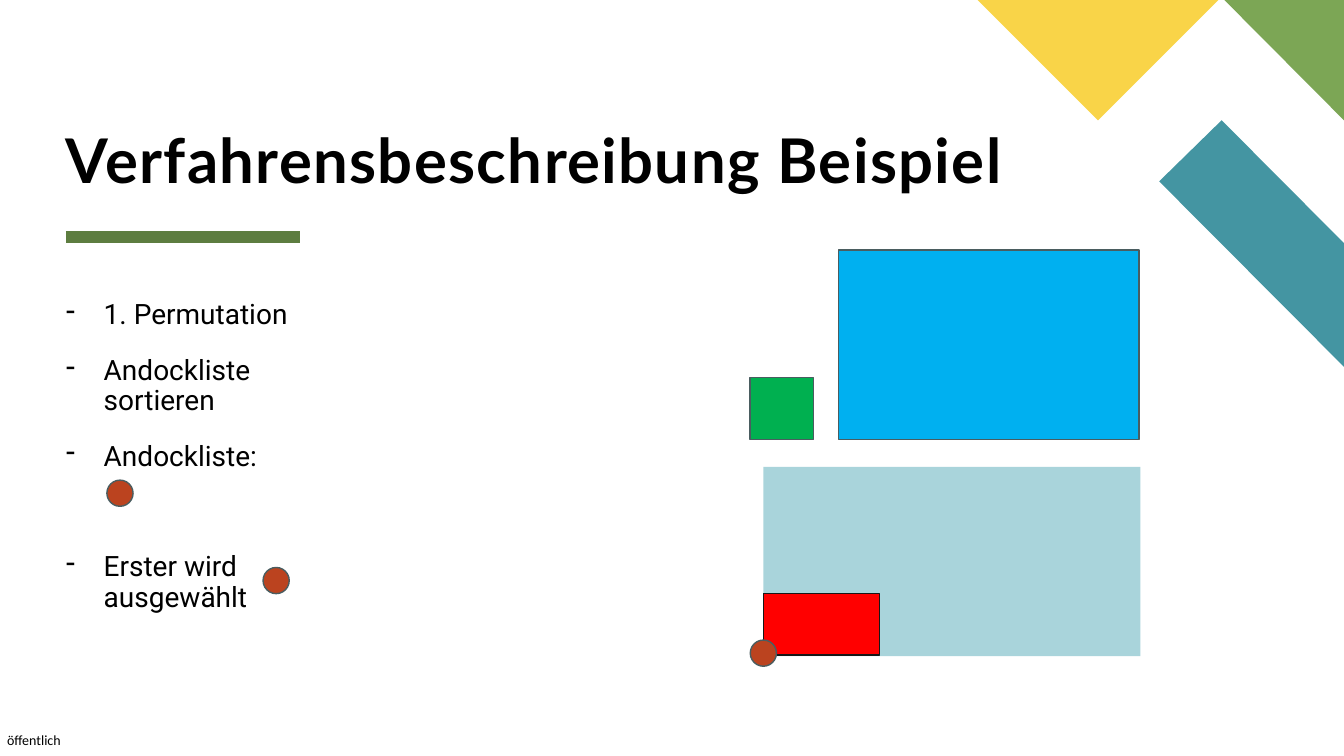
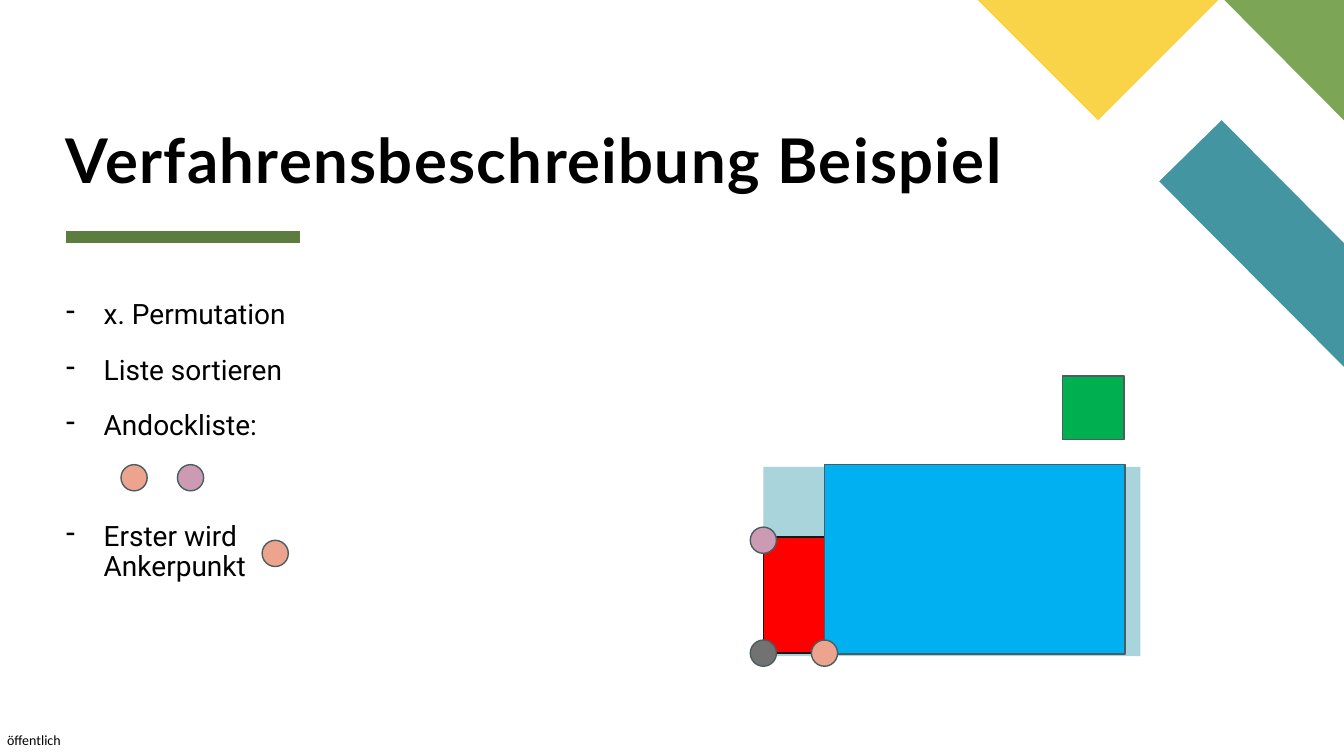
from dataclasses import dataclass

import lxml.etree
import pptx
import pptx.dml.color
import pptx.enum.shapes
import pptx.enum.text
import pptx.oxml.ns
import pptx.util

SHAPE = pptx.enum.shapes.MSO_SHAPE
ANCHOR = pptx.enum.text.MSO_ANCHOR
qn = pptx.oxml.ns.qn


@dataclass(frozen=True)
class Theme:
    text: str = "000000"
    teal: str = "4495A2"
    leaf: str = "7CA655"
    yellow: str = "F9D448"
    rule: str = "5D7D40"
    outline: str = "4A5D60"
    dark: str = "171717"
    green: str = "00B050"
    blue: str = "00B0F0"
    red: str = "FF0000"
    container: str = "A9D4DB"
    rust: str = "BB431F"
    peach: str = "ECA48E"
    mauve: str = "CC9BB3"
    grey: str = "727272"
    title_size: int = 44
    body_size: int = 20
    footer_size: int = 10
    title_font: str = "Lato"
    body_font: str = "Roboto"
    footer_font: str = "Calibri"


T = Theme()
WIDTH, HEIGHT = pptx.util.Inches(13.333), pptx.util.Inches(7.5)
COLUMNS = 100
MARGIN = 4.9
DISC = 1.95
FLOOR, SHELF = 48.6, 32.7
BIN_LEFT = 56.8
PIECES = {
    "green": (4.73, 4.6, T.green, T.outline),
    "blue": (22.35, 14.1, T.blue, T.outline),
    "red": (8.63, 4.6, T.red, T.dark),
    "container": (28.05, 14.1, T.container, None),
}


def grid(*columns):
    return [round(c * WIDTH / COLUMNS) for c in columns]


def rgb(value):
    return pptx.dml.color.RGBColor.from_string(value)


def write(tf, text, size, font, bold=False, line_spacing=None, before=None,
          tracking=None, bullet=None, indent=0):
    p = tf.paragraphs[0] if not tf.text else tf.add_paragraph()
    p.alignment = pptx.enum.text.PP_ALIGN.LEFT
    if line_spacing:
        p.line_spacing = line_spacing
    if before is not None:
        p.space_before = pptx.util.Pt(before)
    if bullet:
        pPr = p._p.get_or_add_pPr()
        pPr.set("marL", str(grid(indent)[0]))
        pPr.set("indent", str(-grid(indent)[0]))
        lxml.etree.SubElement(pPr, qn("a:buChar")).set("char", bullet)
    r = p.add_run()
    r.text = text
    r.font.size = pptx.util.Pt(size)
    r.font.name = font
    r.font.bold = bold
    r.font.color.rgb = rgb(T.text)
    if tracking:
        r._r.get_or_add_rPr().set("spc", str(tracking * 100))


def frame(tf, insets=(0, 0, 0, 0), wrap=True, anchor=ANCHOR.TOP):
    tf.auto_size = pptx.enum.text.MSO_AUTO_SIZE.NONE
    tf.word_wrap = wrap
    tf.vertical_anchor = anchor
    tf.margin_left, tf.margin_top, tf.margin_right, tf.margin_bottom = grid(*insets)
    return tf


def paint(sp, fill, line=None):
    sp.shadow.inherit = False
    sp.fill.solid()
    sp.fill.fore_color.rgb = rgb(fill)
    if line:
        sp.line.color.rgb = rgb(line)
        sp.line.width = pptx.util.Pt(1)
    else:
        sp.line.fill.background()
    return sp


def polygon(s, points, fill):
    start, *rest = [grid(*point) for point in points]
    builder = s.shapes.build_freeform(*start)
    builder.add_line_segments(rest, close=True)
    return paint(builder.convert_to_shape(), fill)


def rule(s, left, right, y):
    c = s.shapes.add_connector(pptx.enum.shapes.MSO_CONNECTOR.STRAIGHT,
                               *grid(left, y, right, y))
    c.line.color.rgb = rgb(T.rule)
    c.line.width = pptx.util.Pt(8)
    lxml.etree.SubElement(c.element.spPr, qn("a:effectLst"))
    return c


def footer(s, text):
    sp = s.shapes.add_textbox(*grid(0.53, 54.45, 4.28, 1.28))
    write(frame(sp.text_frame, wrap=False), text, T.footer_size, T.footer_font)
    return sp


def decorate(layout, s):
    for ph in list(layout.placeholders)[1:]:
        layout.shapes.element.remove(ph.element)
    shared = [
        footer(s, "öffentlich"),
        polygon(s, [(100, 27.3), (100, 18.1), (90.9, 8.95), (86.25, 13.5)], T.teal),
        polygon(s, [(100, 8.95), (100, 0), (91.1, 0)], T.leaf),
        polygon(s, [(72.75, 0), (81.7, 8.95), (90.65, 0)], T.yellow),
        rule(s, MARGIN, 22.35, 17.63),
    ]
    for sp in shared:
        layout.shapes.element.append(sp.element)


def title(s, text):
    sp = s.shapes.title
    sp.left, sp.top, sp.width, sp.height = grid(MARGIN, 1.65, 90, 12.9)
    write(frame(sp.text_frame, anchor=ANCHOR.BOTTOM), text, T.title_size,
          T.title_font, bold=True, line_spacing=0.8, tracking=1)


def steps(s, items):
    sp = s.shapes.add_textbox(*grid(MARGIN, 22, 20.7, 29.5))
    tf = frame(sp.text_frame, insets=(0, 0.38, 0.75, 0.38))
    for i, item in enumerate(items):
        before = 57.6 if i == len(items) - 1 else 18
        write(tf, item, T.body_size, T.body_font, line_spacing=0.9,
              before=before, bullet="-", indent=2.82)


def piece(s, name, left, bottom, turned=False):
    w, h, fill, line = PIECES[name]
    if turned:
        w, h = h, w
    paint(s.shapes.add_shape(SHAPE.RECTANGLE, *grid(left, bottom - h, w, h)), fill, line)


def disc(s, x, y, fill):
    box = grid(x - DISC / 2, y - DISC / 2, DISC, DISC)
    paint(s.shapes.add_shape(SHAPE.OVAL, *box), fill, T.outline)


SLIDES = [
    dict(
        steps=["1. Permutation", "Andockliste sortieren", "Andockliste:",
               "Erster wird ausgewählt"],
        pieces=[("green", 55.8, SHELF), ("blue", 62.4, SHELF),
                ("container", BIN_LEFT, 48.83), ("red", BIN_LEFT, 48.75)],
        discs=[(BIN_LEFT, FLOOR, T.rust), (8.93, 36.7, T.rust), (20.55, 43.2, T.rust)],
    ),
    dict(
        steps=["x. Permutation", "Liste sortieren", "Andockliste:",
               "Erster wird Ankerpunkt"],
        pieces=[("green", 79.05, SHELF, True), ("container", BIN_LEFT, 48.83),
                ("red", BIN_LEFT, FLOOR, True), ("blue", 61.35, 48.67)],
        discs=[(9.98, 35.55, T.peach), (14.18, 35.55, T.mauve),
               (20.48, 41.18, T.peach), (BIN_LEFT, FLOOR, T.grey),
               (BIN_LEFT, 40.2, T.mauve), (61.35, FLOOR, T.peach)],
    ),
]


def main():
    prs = pptx.Presentation()
    prs.slide_width, prs.slide_height = WIDTH, HEIGHT
    layout = prs.slide_layouts[5]
    for i, content in enumerate(SLIDES):
        s = prs.slides.add_slide(layout)
        if i == 0:
            decorate(layout, s)
        title(s, "Verfahrensbeschreibung Beispiel")
        steps(s, content["steps"])
        for args in content["pieces"]:
            piece(s, *args)
        for args in content["discs"]:
            disc(s, *args)
    prs.save("out.pptx")


if __name__ == "__main__":
    main()
